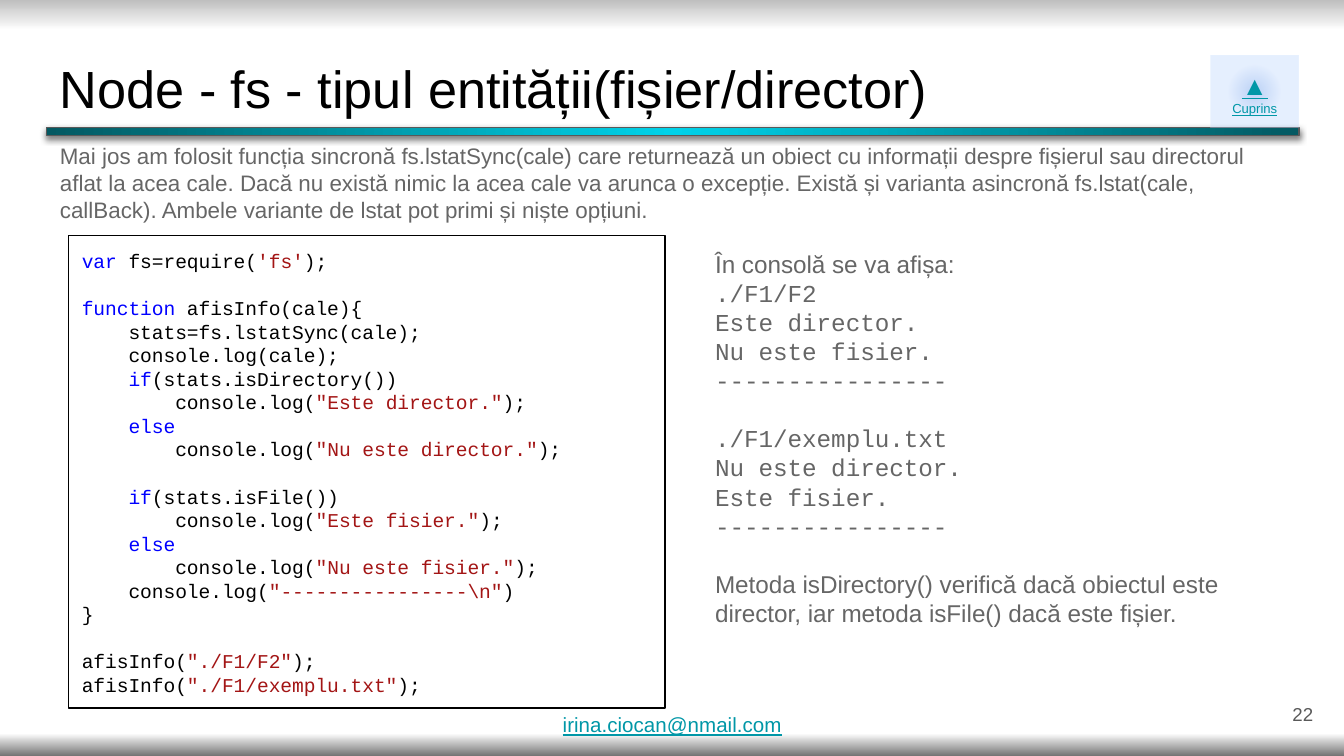
from dataclasses import dataclass

from lxml import etree
from pptx import Presentation
from pptx import util as u
from pptx.dml import color
from pptx.enum import shapes, text
from pptx.oxml import ns

COLORS = {
    "black": "000000", "grey": "666666", "dark": "595959", "link": "0097A7",
    "keyword": "0000FF", "string": "A31515",
}
KEYWORDS = ("var", "function", "if", "else")
SANS, MONO = "Arial", "Courier New"
INSET = 7.2
LEADING = 1.2

CODE = r'''var fs=require('fs');

function afisInfo(cale){
    stats=fs.lstatSync(cale);
    console.log(cale);
    if(stats.isDirectory())
        console.log("Este director.");
    else
        console.log("Nu este director.");

    if(stats.isFile())
        console.log("Este fisier.");
    else
        console.log("Nu este fisier.");
    console.log("----------------\n")
}

afisInfo("./F1/F2");
afisInfo("./F1/exemplu.txt");'''
INTRO = (
    "Mai jos am folosit funcția sincronă fs.lstatSync(cale) care returnează un obiect cu "
    "informații despre fișierul sau directorul aflat la acea cale. Dacă nu există nimic la "
    "acea cale va arunca o excepție. Există și varianta asincronă fs.lstat(cale, callBack). "
    "Ambele variante de lstat pot primi și niște opțiuni."
)
SEPARATOR = "-" * 16
RESULTS = (
    ("./F1/F2", "Este director.", "Nu este fisier."),
    ("./F1/exemplu.txt", "Nu este director.", "Este fisier."),
)
METHODS = ("Metoda isDirectory() verifică dacă obiectul este director, "
           "iar metoda isFile() dacă este fișier.")


@dataclass(frozen=True)
class Box:
    left: float
    top: float
    width: float
    height: float

    def lengths(self) -> list:
        return [u.Pt(v) for v in (self.left, self.top, self.width, self.height)]


@dataclass(frozen=True)
class Run:
    wording: str
    color: str = "black"


@dataclass(frozen=True)
class Line:
    runs: tuple
    size: float
    font: str = SANS
    gap: bool = False
    underline: bool = False
    align: text.PP_ALIGN = text.PP_ALIGN.LEFT


@dataclass(frozen=True)
class Stop:
    position: int
    color: str
    alpha: int = 100


def write(shape, lines: list, inset_y: float = INSET, anchor=text.MSO_ANCHOR.TOP) -> None:
    frame = shape.text_frame
    frame.word_wrap = True
    frame.auto_size = text.MSO_AUTO_SIZE.NONE
    frame.vertical_anchor = anchor
    frame.margin_left = frame.margin_right = u.Pt(INSET)
    frame.margin_top = frame.margin_bottom = u.Pt(inset_y)
    for number, line in enumerate(lines):
        paragraph = frame.add_paragraph() if number else frame.paragraphs[0]
        paragraph.alignment = line.align
        paragraph.line_spacing = u.Pt(line.size * LEADING)
        paragraph.space_before = u.Pt(line.size * LEADING if line.gap else 0)
        for part in line.runs:
            run = paragraph.add_run()
            run.text = part.wording
            run.font.name = line.font
            run.font.size = u.Pt(line.size)
            run.font.underline = line.underline
            run.font.color.rgb = color.RGBColor.from_string(COLORS[part.color])


def add_text(slide, box: Box, lines: list, **options) -> None:
    write(slide.shapes.add_textbox(*box.lengths()), lines, **options)


def add_rect(slide, box: Box, line_color: str = ""):
    rect = slide.shapes.add_shape(shapes.MSO_SHAPE.RECTANGLE, *box.lengths())
    rect.fill.background()
    if line_color:
        rect.line.color.rgb = color.RGBColor.from_string(COLORS[line_color])
        rect.line.width = u.Pt(0.75)
    else:
        rect.line.fill.background()
    rect.shadow.inherit = False
    return rect


def add_color(parent, hex_color: str, alpha: int) -> None:
    node = etree.SubElement(parent, ns.qn("a:srgbClr"), val=hex_color)
    if alpha < 100:
        etree.SubElement(node, ns.qn("a:alpha"), val=str(alpha * 1000))


def set_gradient(fill, holder, stops: list, radial: bool) -> None:
    fill.gradient()
    gradient = holder.find(".//" + ns.qn("a:gradFill"))
    for child in list(gradient):
        gradient.remove(child)
    stop_list = etree.SubElement(gradient, ns.qn("a:gsLst"))
    for stop in stops:
        node = etree.SubElement(stop_list, ns.qn("a:gs"), pos=str(stop.position * 1000))
        add_color(node, stop.color, stop.alpha)
    if radial:
        path = etree.SubElement(gradient, ns.qn("a:path"), path="circle")
        etree.SubElement(path, ns.qn("a:fillToRect"), dict.fromkeys("ltrb", "50000"))
    else:
        etree.SubElement(gradient, ns.qn("a:lin"), ang="5400000", scaled="0")


def add_shadow(shape) -> None:
    effects = shape._element.spPr.find(ns.qn("a:effectLst"))
    shadow = etree.SubElement(effects, ns.qn("a:outerShdw"), blurRad=str(u.Pt(3.4)),
                              dist=str(u.Pt(1.5)), dir="5400000", rotWithShape="0")
    add_color(shadow, COLORS["black"], 50)


def code_runs(source: str) -> tuple:
    body = source.lstrip()
    runs = [Run(source[:len(source) - len(body)])]
    for keyword in KEYWORDS:
        if body.startswith(keyword):
            runs.append(Run(keyword, "keyword"))
            body = body[len(keyword):]
            break
    quote = "'" if "'" in body else '"'
    for number, piece in enumerate(body.split(quote)):
        runs.append(Run(quote + piece + quote, "string") if number % 2 else Run(piece))
    return tuple(run for run in runs if run.wording)


def code_lines() -> list:
    sources = CODE.split("\n")
    return [Line(code_runs(source), 10.5, MONO, gap=number > 0 and not sources[number - 1])
            for number, source in enumerate(sources) if source]


def console_lines() -> list:
    lines = [Line((Run("În consolă se va afișa:", "grey"),), 13)]
    for block, result in enumerate(RESULTS):
        for row, wording in enumerate((*result, SEPARATOR)):
            lines.append(Line((Run(wording, "grey"),), 13, MONO, gap=block > 0 and row == 0))
    return lines + [Line((Run(METHODS, "grey"),), 13, gap=True)]


def main() -> None:
    deck = Presentation()
    deck.slide_width, deck.slide_height = u.Pt(720), u.Pt(405)
    slide = deck.slides.add_slide(deck.slide_layouts[5])
    set_gradient(slide.background.fill, slide._element,
                 [Stop(0, "BFBFBF"), Stop(4, "FFFFFF"), Stop(97, "FFFFFF"),
                  Stop(100, "737373")], radial=False)

    title = slide.shapes.title
    title.left, title.top, title.width, title.height = Box(24.8, 23, 671, 45.4).lengths()
    write(title, [Line((Run("Node - fs - tipul entității(fișier/director)"),), 28)])

    divider = add_rect(slide, Box(25, 68.2, 671, 4.3), "dark")
    set_gradient(divider.fill, divider._element,
                 [Stop(0, "00D2E9"), Stop(100, "045962")], radial=True)
    add_shadow(divider)

    add_text(slide, Box(667.4, 367.2, 43.2, 31),
             [Line((Run("22", "dark"),), 10, align=text.PP_ALIGN.RIGHT)],
             anchor=text.MSO_ANCHOR.MIDDLE)

    contents = add_rect(slide, Box(648.7, 29.9, 47, 38.3))
    set_gradient(contents.fill, contents._element,
                 [Stop(0, "BCD6FF", 37), Stop(0, "4A86E8", 37), Stop(48, "BCD6FF", 37),
                  Stop(100, "BCD6FF", 37)], radial=True)
    write(contents, [Line((Run(wording, "link"),), size, underline=True,
                          align=text.PP_ALIGN.CENTER)
                     for wording, size in (("▲", 14), ("Cuprins", 7))])

    add_text(slide, Box(294.4, 381.6, 132.5, 19.4),
             [Line((Run("irina.ciocan@nmail.com", "link"),), 11, underline=True)], inset_y=0)
    add_text(slide, Box(25, 69.2, 670.3, 51), [Line((Run(INTRO, "grey"),), 12)])
    write(add_rect(slide, Box(36.7, 126.2, 319.5, 253.2), "black"), code_lines())
    add_text(slide, Box(376, 126.2, 319.5, 250), console_lines())
    deck.save("out.pptx")


if __name__ == "__main__":
    main()
